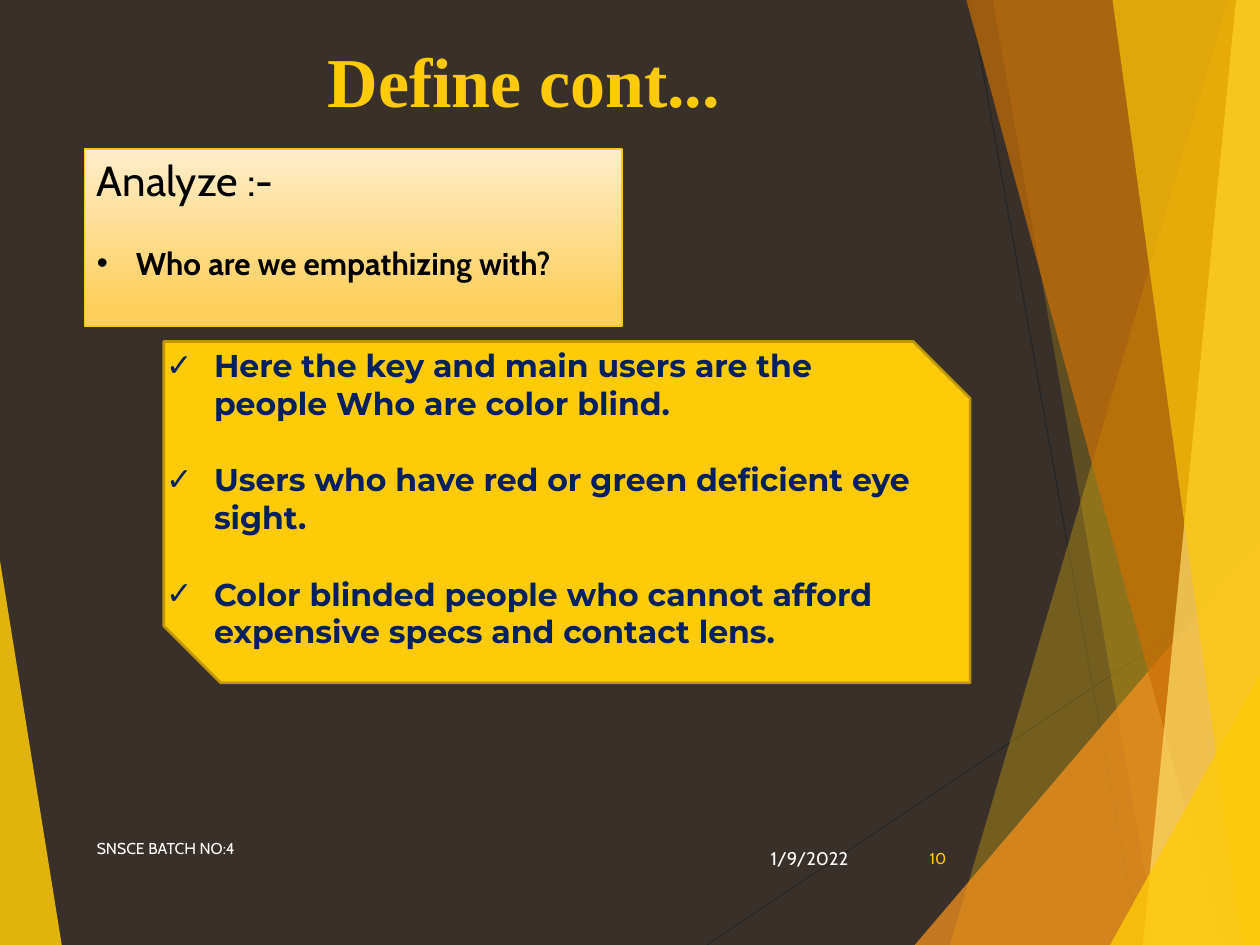
from dataclasses import dataclass

import pptx
import pptx.dml.color
import pptx.enum.dml
import pptx.enum.shapes
import pptx.enum.text
import pptx.oxml
import pptx.oxml.ns
import pptx.util

Inches = pptx.util.Inches
Pt = pptx.util.Pt
Align = pptx.enum.text.PP_ALIGN
Anchor = pptx.enum.text.MSO_ANCHOR
Shape = pptx.enum.shapes.MSO_SHAPE


@dataclass(frozen=True)
class Theme:
    background: str = "39302A"
    gold: str = "FFCA08"
    gold_edge: str = "BD9506"
    pale_gold: str = "FFDF6B"
    orange: str = "F8931D"
    brown: str = "CA6F06"
    hairline: str = "262626"
    gradient: tuple = ((0, "FFEDCB"), (0.88, "FFD05E"))
    white: str = "FFFFFF"
    black: str = "000000"
    navy: str = "002060"
    title_font: str = "Times New Roman"
    body_font: str = "Cabin"
    answer_font: str = "Montserrat"
    title_size: float = 40
    heading_size: float = 24
    body_size: float = 18
    date_size: float = 10.5
    footer_size: float = 9
    paragraph_gap: float = 22


def rgb(value):
    return pptx.dml.color.RGBColor.from_string(value)


def add_xml(parent, tag, **attributes):
    child = pptx.oxml.parse_xml(f"<a:{tag} {pptx.oxml.ns.nsdecls('a')}/>")
    for name, value in attributes.items():
        child.set(name, str(value))
    parent.append(child)


class SlideBuilder:
    def __init__(self, deck, theme):
        self.theme = theme
        self.slide = deck.slides.add_slide(deck.slide_layouts[5])
        self.shapes = self.slide.shapes
        fill = self.slide.background.fill
        fill.solid()
        fill.fore_color.rgb = rgb(theme.background)

    def line(self, start, end):
        points = [Inches(value) for value in start + end]
        connector = self.shapes.add_connector(
            pptx.enum.shapes.MSO_CONNECTOR.STRAIGHT, *points)
        connector.line.color.rgb = rgb(self.theme.hairline)
        connector.line.width = Pt(0.75)
        add_xml(connector._element.spPr, "effectLst")

    def facet(self, points, color, opacity):
        """Draw a translucent, borderless polygon; opacity is in percent."""
        corners = [(Inches(x), Inches(y)) for x, y in points]
        builder = self.shapes.build_freeform(*corners[0])
        builder.add_line_segments(corners[1:], close=True)
        facet = builder.convert_to_shape()
        facet.shadow.inherit = False
        facet.fill.solid()
        facet.fill.fore_color.rgb = rgb(color)
        color_element = facet._element.spPr.find(".//" + pptx.oxml.ns.qn("a:srgbClr"))
        add_xml(color_element, "alpha", val=opacity * 1000)
        facet.line.fill.background()

    def panel(self, kind, bounds, edge, width, color=None):
        """Draw an outlined panel, with the theme gradient if no color is given."""
        panel = self.shapes.add_shape(kind, *map(Inches, bounds))
        panel.shadow.inherit = False
        if color:
            panel.fill.solid()
            panel.fill.fore_color.rgb = rgb(color)
        else:
            panel.fill.gradient()
            panel.fill.gradient_angle = 270
            for stop, (position, shade) in zip(panel.fill.gradient_stops, self.theme.gradient):
                stop.position = position
                stop.color.rgb = rgb(shade)
        panel.line.color.rgb = rgb(edge)
        panel.line.width = Pt(width)
        return panel

    def text_box(self, bounds, anchor=Anchor.TOP):
        box = self.shapes.add_textbox(*map(Inches, bounds))
        self.prepare(box.text_frame, anchor)
        return box

    def prepare(self, frame, anchor=Anchor.TOP):
        frame.word_wrap = True
        frame.vertical_anchor = anchor

    def paragraph(self, frame, text, font, size, color, bold=False,
                  align=Align.LEFT, bullet=None, indent=0):
        """Fill the empty first paragraph, or append one below a gap."""
        para = frame.paragraphs[0]
        if para.runs:
            para = frame.add_paragraph()
            para.space_before = Pt(self.theme.paragraph_gap)
        para.alignment = align
        if bullet:
            properties = para._p.get_or_add_pPr()
            properties.set("marL", str(Inches(indent)))
            properties.set("indent", str(-Inches(indent)))
            add_xml(properties, "buFont", typeface="Arial")
            add_xml(properties, "buChar", char=bullet)
        span = para.add_run()
        span.text = text
        span.font.name = font
        span.font.size = Pt(size)
        span.font.bold = bold
        span.font.color.rgb = rgb(color)

    def title(self, text, bounds):
        title = self.shapes.title
        title.left, title.top, title.width, title.height = map(Inches, bounds)
        self.prepare(title.text_frame)
        title.text_frame.margin_top = Inches(0.12)
        self.paragraph(title.text_frame, text, self.theme.title_font,
                       self.theme.title_size, self.theme.gold, bold=True)

    def footer(self, text, left, width, size, color, align):
        box = self.text_box((left, 6.61, width, 0.4), Anchor.MIDDLE)
        self.paragraph(box.text_frame, text, self.theme.body_font, size, color, align=align)
        return box


def main():
    deck = pptx.Presentation()
    deck.slide_width, deck.slide_height = Inches(10), Inches(7.5)
    theme = Theme()
    page = SlideBuilder(deck, theme)

    page.line((5.61, 7.5), (10, 4.57))
    page.line((7.7, 0), (9.04, 7.5))
    page.facet([(0, 4.45), (0.49, 7.5), (0, 7.5)], theme.gold, 85)
    right_facets = [
        # top left, top right, bottom left, bottom right, color, opacity
        ((9.75, 0), (10, 0), (7.54, 7.5), theme.gold, 30),
        ((7.88, 0), (10, 0), (9.19, 7.5), theme.gold, 20),
        ((10, 4.29), (10, 4.29), (7.26, 7.5), theme.orange, 72),
        ((7.67, 0), (10, 0), (9.7, 7.5), theme.brown, 70),
        ((9.81, 0), (10, 0), (9.07, 7.5), theme.pale_gold, 70),
        ((8.83, 0), (10, 0), (9.86, 7.5), theme.gold, 65),
        ((10, 5.35), (10, 5.35), (8.81, 7.5), theme.gold, 80),
    ]
    for top_left, top_right, bottom_left, color, opacity in right_facets:
        page.facet([top_left, bottom_left, (10, 7.5), top_right], color, opacity)

    page.title("Define cont...", (2.5, 0.18, 6.94, 1.44))

    page.footer("1/9/2022", 5.91, 0.92, theme.date_size, theme.white, Align.RIGHT)
    batch = page.footer("SNSCE BATCH NO:4", 0.67, 5.06, theme.footer_size,
                        theme.white, Align.LEFT)
    batch.text_frame.margin_bottom = Inches(0.2)
    page.footer("10", 7.05, 0.56, theme.footer_size, theme.gold, Align.RIGHT)

    question = page.panel(Shape.RECTANGLE, (0.67, 1.18, 4.27, 1.41), theme.gold, 1)
    page.prepare(question.text_frame)
    page.paragraph(question.text_frame, "Analyze :-", theme.body_font,
                   theme.heading_size, theme.black)
    page.paragraph(question.text_frame, "Who are we empathizing with?", theme.body_font,
                   theme.body_size, theme.black, bold=True, bullet="•", indent=0.31)

    page.panel(Shape.SNIP_2_DIAG_RECTANGLE, (1.3, 2.71, 6.4, 2.71),
               theme.gold_edge, 1.5, theme.gold)
    answers = page.text_box((1.22, 2.7, 6.48, 2.52))
    answers.text_frame.margin_right = Inches(0.35)
    for answer in (
        "Here the key and main users are the people Who are color blind.",
        "Users who have red or green deficient eye sight.",
        "Color blinded people who cannot afford expensive specs and contact lens.",
    ):
        page.paragraph(answers.text_frame, answer, theme.answer_font, theme.body_size,
                       theme.navy, bold=True, bullet="✓", indent=0.38)

    deck.save("out.pptx")


if __name__ == "__main__":
    main()
